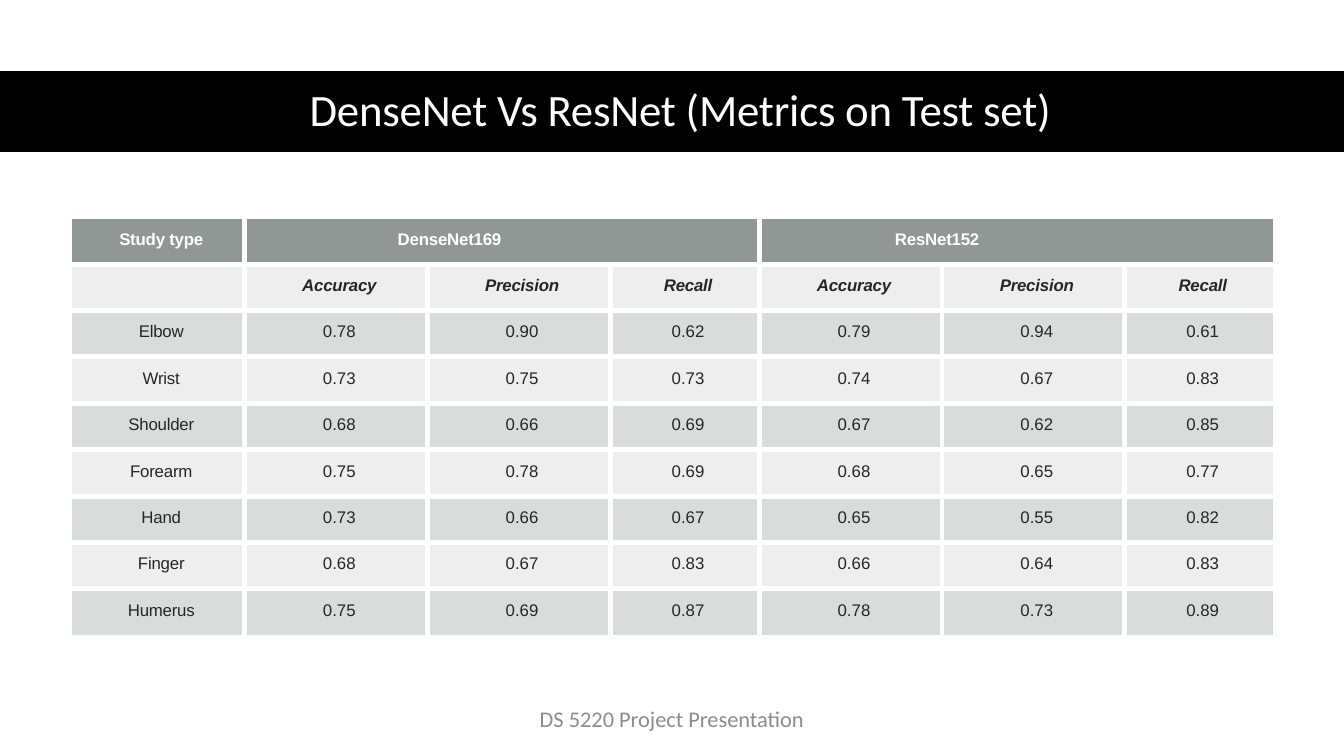
from dataclasses import dataclass

from lxml.etree import SubElement as Sub
from pptx import Presentation
from pptx.dml.color import RGBColor as Rgb
from pptx.enum.shapes import MSO_SHAPE as Shape
from pptx.enum.text import MSO_ANCHOR as Anchor, PP_ALIGN as Align
from pptx.oxml.ns import qn
from pptx.util import Inches, Pt

WHITE, BLACK, INK, GREY = "FFFFFF", "000000", "262626", "8C8C8C"
HEAD, BODY = "636B68", "878E8B"
WIDTHS = [1.29] + [1.36, 1.36, 1.11] * 2
HEIGHT = 3.11
METRICS = ["Accuracy", "Precision", "Recall"]
SCORES = [
    ("Elbow", "0.78", "0.90", "0.62", "0.79", "0.94", "0.61"),
    ("Wrist", "0.73", "0.75", "0.73", "0.74", "0.67", "0.83"),
    ("Shoulder", "0.68", "0.66", "0.69", "0.67", "0.62", "0.85"),
    ("Forearm", "0.75", "0.78", "0.69", "0.68", "0.65", "0.77"),
    ("Hand", "0.73", "0.66", "0.67", "0.65", "0.55", "0.82"),
    ("Finger", "0.68", "0.67", "0.83", "0.66", "0.64", "0.83"),
    ("Humerus", "0.75", "0.69", "0.87", "0.78", "0.73", "0.89"),
]


@dataclass
class Style:
    size: float
    color: str
    font: str = "Arial"
    bold: bool = False
    italic: bool = False
    space: int = 0  # letter spacing, hundredths of a point


@dataclass
class Band:
    fill: str
    alpha: int  # percent
    before: float  # points above the text


@dataclass
class Label:
    text: str
    left: float
    top: float
    width: float
    height: float
    style: Style
    after: float = 0


@dataclass
class Group:
    name: str
    col: int
    indent: float


TITLE = Style(24, WHITE, "Calibri", space=-10)
FOOT = Style(12, GREY, "Calibri")
TOP = Style(9, WHITE, bold=True, space=-10)
METRIC = Style(9, INK, bold=True, italic=True, space=-10)
NAME = Style(9, INK, space=-10)
VALUE = Style(9, INK)

LABELS = [
    Label("DenseNet Vs ResNet (Metrics on Test set)",
          0.46, 0.53, 9.2, 0.61, TITLE),
    Label("DS 5220 Project Presentation", 3.31, 5.21, 3.38, 0.3, FOOT, 6),
]
GROUPS = [Group("DenseNet169", 1, 1.0), Group("ResNet152", 4, 0.87)]


def paint(target, color: str) -> None:
    """Give a fill or a font a solid colour."""
    if hasattr(target, "solid"):
        target.solid()
        target.fore_color.rgb = Rgb.from_string(color)
    else:
        target.color.rgb = Rgb.from_string(color)


def add_run(para, text: str, style: Style) -> None:
    run = para.add_run()
    run.text = text
    font = run.font
    font.name, font.size = style.font, Pt(style.size)
    font.bold, font.italic = style.bold, style.italic
    paint(font, style.color)
    if style.space:
        run._r.get_or_add_rPr().set("spc", str(style.space))


def add_label(slide, label: Label) -> None:
    box = slide.shapes.add_textbox(
        Inches(label.left), Inches(label.top),
        Inches(label.width), Inches(label.height))
    frame = box.text_frame
    frame.word_wrap = True
    frame.vertical_anchor = Anchor.MIDDLE
    para = frame.paragraphs[0]
    para.alignment = Align.CENTER
    para.line_spacing = 0.9
    para.space_after = Pt(label.after)
    add_run(para, label.text, label.style)


def shade(cell, band: Band, sides: list[str]) -> None:
    """Set a translucent fill and white rules on the inner sides."""
    paint(cell.fill, band.fill)
    props = cell._tc.get_or_add_tcPr()
    tint = props.find(".//" + qn("a:srgbClr"))
    Sub(tint, qn("a:alpha"), val=str(band.alpha * 1000))
    for place, side in enumerate(sides):
        line = Sub(props, qn(f"a:ln{side}"), w=str(Pt(3)))
        Sub(Sub(line, qn("a:solidFill")), qn("a:srgbClr"), val=WHITE)
        props.insert(place, line)


def write(cell, text: str, style: Style, band: Band,
          indent: float = 0) -> None:
    cell.margin_left = Inches(0.14)
    cell.margin_right = cell.margin_top = cell.margin_bottom = Inches(0.09)
    para = cell.text_frame.paragraphs[0]
    para.space_before = Pt(band.before)
    if indent:
        para.alignment = Align.LEFT
        para._p.get_or_add_pPr().set("marL", str(Inches(indent)))
    else:
        para.alignment = Align.CENTER
    add_run(para, text, style)


def band_of(row: int) -> Band:
    if row == 0:
        return Band(HEAD, 70, 10.4)
    return Band(BODY, 15 if row % 2 else 30, 6.2 if row == 1 else 7.2)


def add_scores(slide) -> None:
    rows, cols = len(SCORES) + 2, len(WIDTHS)
    table = slide.shapes.add_table(
        rows, cols, Inches(0.53), Inches(1.62),
        Inches(sum(WIDTHS)), Inches(HEIGHT)).table
    table.first_row = table.horz_banding = False
    for col, width in zip(table.columns, WIDTHS):
        col.width = Inches(width)

    # Fills and inner rules; the last group reaches the right edge
    for r in range(rows):
        table.rows[r].height = Inches(HEIGHT / rows)
        edge = cols - 1 if r else GROUPS[-1].col
        for c in range(cols):
            inner = {"L": c > 0, "R": c < edge,
                     "T": r > 0, "B": r < rows - 1}
            shade(table.cell(r, c), band_of(r),
                  [side for side, on in inner.items() if on])

    # Model names above their metrics
    write(table.cell(0, 0), "Study type", TOP, band_of(0))
    for group in GROUPS:
        cell = table.cell(0, group.col)
        cell.merge(table.cell(0, group.col + 2))
        write(cell, group.name, TOP, band_of(0), group.indent)
    blank = table.cell(1, 0)
    blank.margin_top = blank.margin_bottom = 0
    for c, name in enumerate(METRICS * 2, 1):
        write(table.cell(1, c), name, METRIC, band_of(1))

    # Scores
    for r, line in enumerate(SCORES, 2):
        for c, text in enumerate(line):
            write(table.cell(r, c), text, VALUE if c else NAME, band_of(r))


def main() -> None:
    deck = Presentation()
    deck.slide_width = Inches(10)
    deck.slide_height = deck.slide_width * 9 // 16
    slide = deck.slides.add_slide(deck.slide_layouts[6])

    # Title band
    bar = slide.shapes.add_shape(
        Shape.RECTANGLE, 0, Inches(0.53), Inches(10), Inches(0.6))
    bar.shadow.inherit = False
    paint(bar.fill, BLACK)
    bar.line.fill.background()

    for label in LABELS:
        add_label(slide, label)
    add_scores(slide)
    deck.save("out.pptx")


if __name__ == "__main__":
    main()
